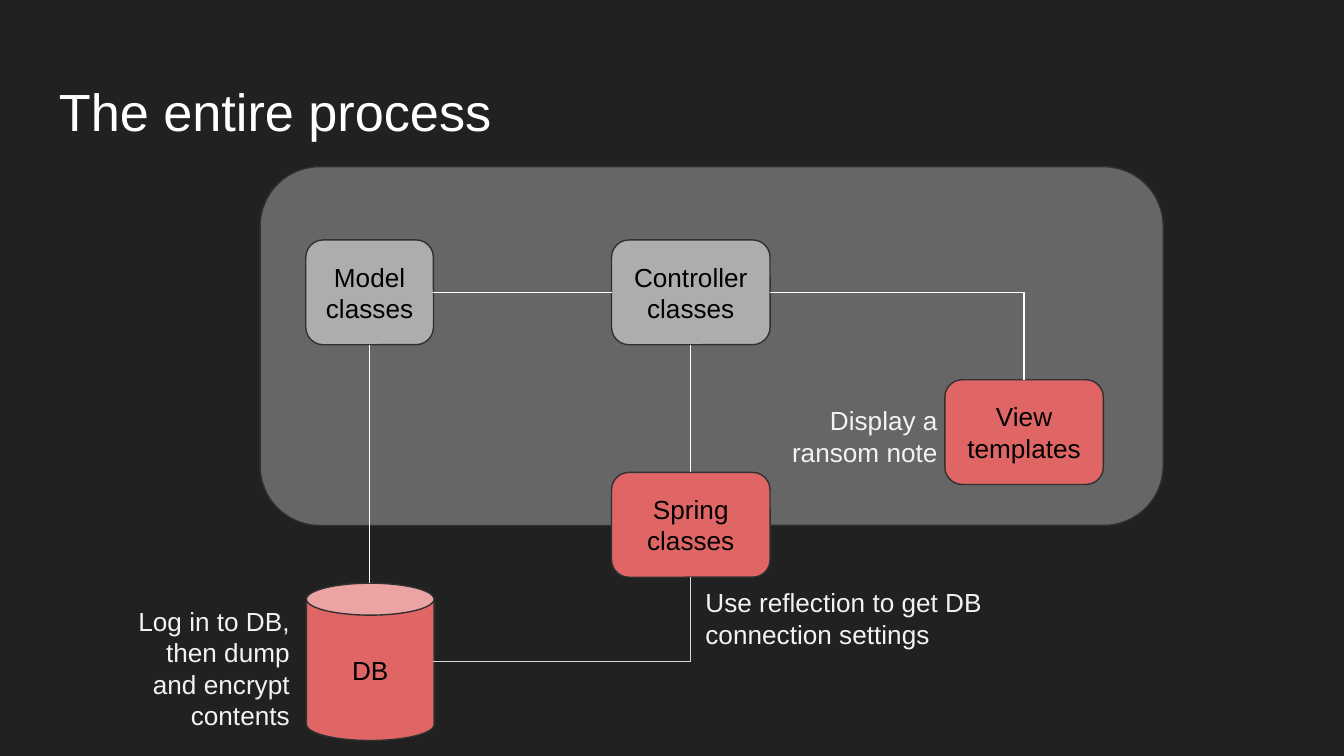
import pptx
import pptx.util
import pptx.dml.color
import pptx.enum.shapes
import pptx.enum.text
import pptx.oxml.ns
import lxml.etree

Kind = pptx.enum.shapes.MSO_SHAPE
Link = pptx.enum.shapes.MSO_CONNECTOR
Align = pptx.enum.text.PP_ALIGN
Anchor = pptx.enum.text.MSO_ANCHOR
qn = pptx.oxml.ns.qn

ink = {
    "back": "212121", "panel": "666666", "edge": "303030",
    "grey": "ADADAD", "red": "E06666", "dark": "000000",
    "note": "F3F3F3", "white": "FFFFFF", "pale": "D9D9D9",
}
ink = {name: pptx.dml.color.RGBColor.from_string(code) for name, code in ink.items()}

# Wide 16:9 slide; grid of 100 columns with square cells
deck = pptx.Presentation()
deck.slide_width = pptx.util.Inches(10)
deck.slide_height = deck.slide_width * 9 // 16
cell = deck.slide_width / 100
slide = deck.slides.add_slide(deck.slide_layouts[6])
slide.background.fill.solid()
slide.background.fill.fore_color.rgb = ink["back"]


def grid(*cells):
    return [round(n * cell) for n in cells]


def write(shape, text, size, tint, align):
    frame = shape.text_frame
    frame.word_wrap = True
    frame.margin_left = frame.margin_right = round(cell)
    frame.margin_top = frame.margin_bottom = round(cell)
    frame.text = text
    for para in frame.paragraphs:
        para.alignment = align
        for run in para.runs:
            run.font.name = "Arial"
            run.font.size = pptx.util.Pt(size)
            run.font.color.rgb = ink[tint]


# Shared box sizes and axes
wide, slim, high = 11.8, 9.5, 7.8
left, mid, right = 22.75, 45.5, 70.3
top, view, spring, store = 17.85, 28.25, 35.15, 43.4
axis, hub, end = left + slim / 2, mid + wide / 2, right + wide / 2
row = top + high / 2
base = store + 11.7 / 2

# Panel, then nodes
nodes = [
    (Kind.ROUNDED_RECTANGLE, (19.35, 12.4, 67.2, 26.7), "panel", ""),
    (Kind.ROUNDED_RECTANGLE, (left, top, slim, high), "grey", "Model\nclasses"),
    (Kind.ROUNDED_RECTANGLE, (mid, top, wide, high), "grey", "Controller classes"),
    (Kind.ROUNDED_RECTANGLE, (right, view, wide, high), "red", "View\ntemplates"),
    (Kind.ROUNDED_RECTANGLE, (mid, spring, wide, high), "red", "Spring classes"),
    (Kind.CAN, (left + 0.05, store, slim, 11.7), "red", "DB"),
]
for kind, place, tint, text in nodes:
    node = slide.shapes.add_shape(kind, *grid(*place))
    node.shadow.inherit = False
    node.fill.solid()
    node.fill.fore_color.rgb = ink[tint]
    node.line.color.rgb = ink["edge"]
    node.line.width = pptx.util.Pt(0.75)
    if text:
        write(node, text, 14, "dark", Align.CENTER)
        node.text_frame.vertical_anchor = Anchor.MIDDLE

# Connectors; an elbow leaves sideways and turns once
links = [
    (Link.STRAIGHT, (axis, top + high, axis, store), "white"),
    (Link.STRAIGHT, (left + slim, row, mid, row), "white"),
    (Link.STRAIGHT, (hub, top + high, hub, spring), "white"),
    (Link.ELBOW, (mid + wide, row, end, view), "white"),
    (Link.ELBOW, (left + slim, base, hub, spring + high), "pale"),
]
for kind, ends, tint in links:
    link = slide.shapes.add_connector(kind, *grid(*ends))
    link.line.color.rgb = ink[tint]
    link.line.width = pptx.util.Pt(0.75)
    props = link._element.spPr
    lxml.etree.SubElement(props, qn("a:effectLst"))
    if kind == Link.ELBOW:
        props.find(qn("a:prstGeom")).set("prst", "bentConnector2")

# Title and notes
texts = [
    ((3.4, 4.9, 93.2, 6.3), "The entire process", 28, "white", Align.LEFT),
    ((51.5, 42.65, 23.2, 6.3), "Use reflection to get DB connection settings",
     14, "note", Align.LEFT),
    ((8.15, 44.05, 14.4, 6.3), "Log in to DB, then dump and encrypt contents",
     14, "note", Align.RIGHT),
    ((56.85, 29.1, 13.9, 9.9), "Display a ransom note", 14, "note", Align.RIGHT),
]
for place, *style in texts:
    write(slide.shapes.add_textbox(*grid(*place)), *style)

deck.save("out.pptx")
